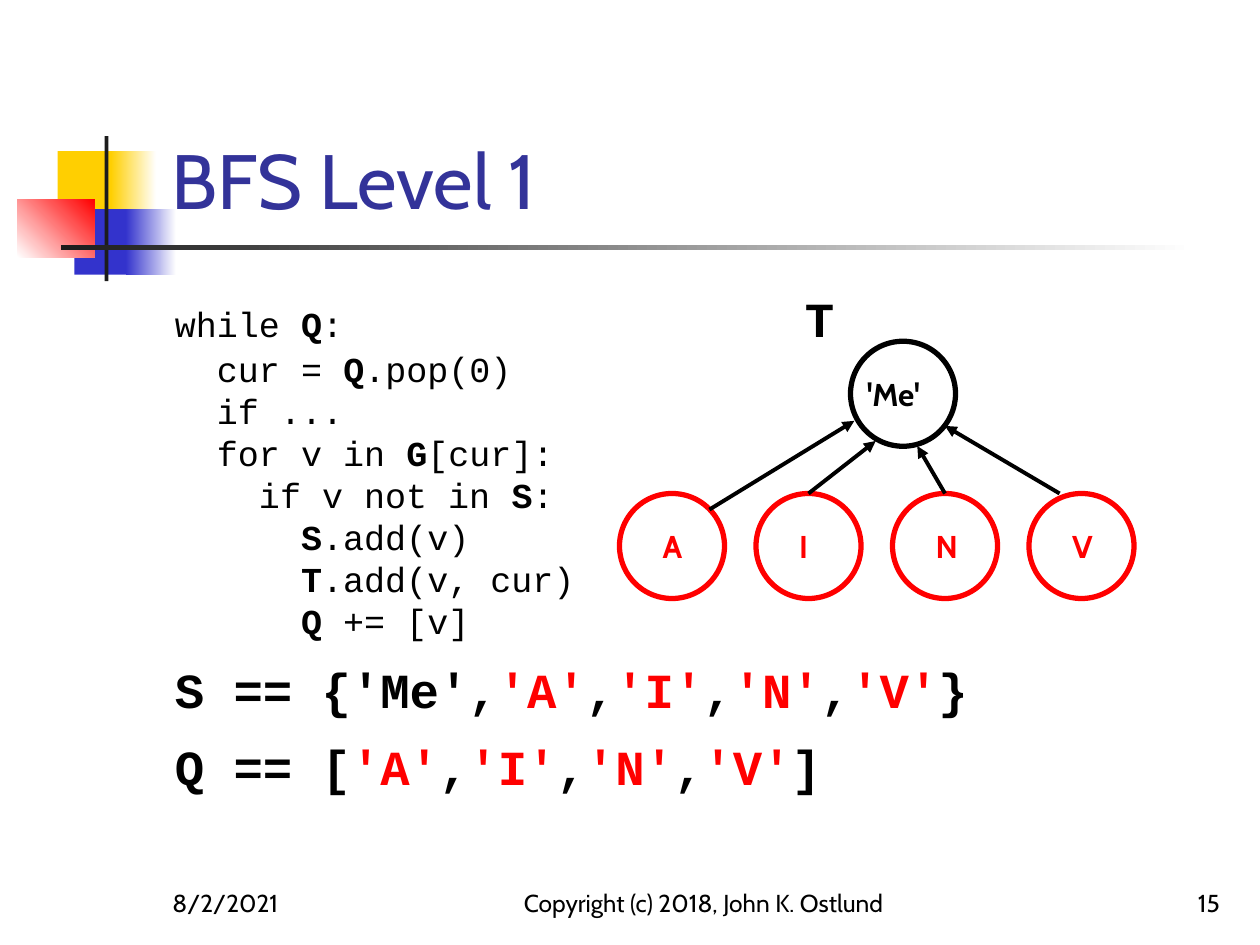
"""Build the BFS Level 1 slide: search code, tree T and the state of S and Q."""
from dataclasses import dataclass
from typing import Any, Optional

import pptx
import pptx.dml.color
import pptx.enum.shapes
import pptx.enum.text
import pptx.oxml.ns
import pptx.util
from lxml import etree

Pt = pptx.util.Pt
SHAPE = pptx.enum.shapes.MSO_SHAPE
ALIGN = pptx.enum.text.PP_ALIGN
ANCHOR = pptx.enum.text.MSO_ANCHOR
COLORS = {
    "black": "000000", "white": "FFFFFF", "red": "FF0000", "yellow": "FFCF01",
    "blue": "3333CC", "title": "333399", "charcoal": "1C1C1C",
}
HEADING_FONT = "Cabin"
CODE_FONT = "Courier New"
NODE_SIZE = 60


@dataclass(frozen=True)
class Box:
    left: float
    top: float
    width: float
    height: float

    def points(self) -> tuple:
        return Pt(self.left), Pt(self.top), Pt(self.width), Pt(self.height)


@dataclass(frozen=True)
class Block:
    box: Box
    color: str
    fade_to: Optional[str] = None
    angle: float = 0


@dataclass(frozen=True)
class Caption:
    box: Box
    text: str
    size: float
    color: str = "black"
    align: Any = ALIGN.LEFT


@dataclass(frozen=True)
class CodeLine:
    """A line whose parts between asterisks are emphasised."""
    text: str
    size: float = 20
    pitch: float = 24
    before: float = 0
    bold: bool = False
    accent: str = "black"


@dataclass(frozen=True)
class Node:
    label: str
    left: float
    top: float
    color: str
    label_box: Box


@dataclass(frozen=True)
class Edge:
    parent: tuple
    child: tuple


BLOCKS = [
    Block(Box(33, 86.4, 34.6, 37.4), "yellow"),
    Block(Box(63.4, 86.4, 25.9, 37.4), "yellow", "white"),
    Block(Box(42.5, 119.5, 33.1, 37.4), "blue"),
    Block(Box(72, 119.5, 28.8, 37.4), "blue", "white"),
    Block(Box(10, 113.8, 44, 33.1), "white", "red", 45),
    Block(Box(59.8, 77.8, 2.2, 82.8), "charcoal"),
    Block(Box(34.6, 140.2, 648, 2.4), "charcoal", "white"),
]
CAPTIONS = [
    Caption(Box(90.7, 16.6, 613.4, 115.2), "BFS Level 1", 44, "title"),
    Caption(Box(91.4, 491.8, 149.8, 36), "8/2/2021", 14),
    Caption(Box(288, 491.8, 228.2, 36), "Copyright (c) 2018, John K. Ostlund", 14,
            align=ALIGN.CENTER),
    Caption(Box(554.4, 491.8, 149.8, 36), "15", 14, align=ALIGN.RIGHT),
]
CODE = [
    CodeLine("while *Q*:\t*T*", pitch=36),
    CodeLine("  cur = *Q*.pop(0)"),
    CodeLine("  if ..."),
    CodeLine("  for v in *G*[cur]:"),
    CodeLine("    if v not in *S*:"),
    CodeLine("      *S*.add(v)"),
    CodeLine("      *T*.add(v, cur)"),
    CodeLine("      *Q* += [v]"),
    CodeLine("S == {'Me',*'A'*,*'I'*,*'N'*,*'V'*}", 28, 32, 12, True, "red"),
    CodeLine("Q == [*'A'*,*'I'*,*'N'*,*'V'*]", 28, 32, 12, True, "red"),
]
NODES = [Node("'Me'", 486, 195, "black", Box(488.2, 211, 52.6, 28.8))] + [
    Node(name, 354 + 78 * i, 282, "red", Box(371.5 + 78 * i, 297.4, 27.4, 28.8))
    for i, name in enumerate("AINV")
]
EDGES = [
    Edge((488.2, 240.5), (405.4, 291.2)),
    Edge((500.4, 252), (462, 282)),
    Edge((524.2, 254.9), (540, 282)),
    Edge((540, 243.4), (605.5, 282)),
]


def rgb(color: str) -> pptx.dml.color.RGBColor:
    return pptx.dml.color.RGBColor.from_string(COLORS[color])


def style(font: Any, name: str, size: float, color: str, bold: bool = False) -> None:
    font.name, font.size, font.bold = name, Pt(size), bold
    font.color.rgb = rgb(color)


def draw_block(shapes: Any, block: Block) -> None:
    bar = shapes.add_shape(SHAPE.RECTANGLE, *block.box.points())
    bar.shadow.inherit = False
    bar.line.fill.background()
    if block.fade_to is None:
        bar.fill.solid()
        bar.fill.fore_color.rgb = rgb(block.color)
        return
    bar.fill.gradient()
    bar.fill.gradient_angle = block.angle
    for stop, color in zip(bar.fill.gradient_stops, (block.color, block.fade_to)):
        stop.color.rgb = rgb(color)


def draw_caption(shapes: Any, caption: Caption) -> None:
    frame = shapes.add_textbox(*caption.box.points()).text_frame
    frame.word_wrap = True
    frame.vertical_anchor = ANCHOR.BOTTOM
    frame.text = caption.text
    frame.paragraphs[0].alignment = caption.align
    style(frame.paragraphs[0].runs[0].font, HEADING_FONT, caption.size, caption.color)


def draw_code(shapes: Any, box: Box, lines: list) -> None:
    frame = shapes.add_textbox(*box.points()).text_frame
    frame.word_wrap = True
    for i, line in enumerate(lines):
        paragraph = frame.add_paragraph() if i else frame.paragraphs[0]
        paragraph.line_spacing = Pt(line.pitch)
        paragraph.space_before = Pt(line.before)
        for j, part in enumerate(line.text.split("*")):
            run = paragraph.add_run()
            run.text = part
            emphasised = j % 2 == 1
            style(run.font, CODE_FONT, line.size,
                  line.accent if emphasised else "black", line.bold or emphasised)
    heading = frame.paragraphs[0]
    heading.runs[-2].font.size = heading.runs[-1].font.size = Pt(20)
    qn = pptx.oxml.ns.qn
    tabs = etree.SubElement(heading.runs[0].font._element.getparent().getparent().pPr, qn("a:tabLst"))
    etree.SubElement(tabs, qn("a:tab"), pos=str(Pt(360)), algn="l")
    heading.runs[-2].font.size = Pt(20)
    heading.runs[3].font.size = Pt(28)


def draw_node(shapes: Any, node: Node) -> None:
    group = shapes.add_group_shape().shapes
    circle = group.add_shape(SHAPE.OVAL, *Box(node.left, node.top, NODE_SIZE, NODE_SIZE).points())
    circle.shadow.inherit = False
    circle.fill.background()
    circle.line.color.rgb = rgb(node.color)
    circle.line.width = Pt(3)
    frame = group.add_textbox(*node.label_box.points()).text_frame
    frame.word_wrap = False
    frame.auto_size = pptx.enum.text.MSO_AUTO_SIZE.SHAPE_TO_FIT_TEXT
    frame.text = node.label
    style(frame.paragraphs[0].runs[0].font, HEADING_FONT, 18, node.color, True)


def draw_edge(shapes: Any, edge: Edge) -> None:
    ends = [Pt(value) for value in edge.parent + edge.child]
    arrow = shapes.add_connector(pptx.enum.shapes.MSO_CONNECTOR.STRAIGHT, *ends)
    arrow.line.color.rgb = rgb("black")
    arrow.line.width = Pt(2.25)
    qn = pptx.oxml.ns.qn
    etree.SubElement(arrow.line._get_or_add_ln(), qn("a:headEnd"), type="triangle")
    etree.SubElement(arrow._element.spPr, qn("a:effectLst"))


def main() -> None:
    deck = pptx.Presentation()
    deck.slide_width, deck.slide_height = Pt(720), Pt(540)
    shapes = deck.slides.add_slide(deck.slide_layouts[6]).shapes
    for block in BLOCKS:
        draw_block(shapes, block)
    draw_code(shapes, Box(92.9, 159.1, 612, 324), CODE)
    for caption in CAPTIONS:
        draw_caption(shapes, caption)
    for node in NODES:
        draw_node(shapes, node)
    for edge in EDGES:
        draw_edge(shapes, edge)
    deck.save("out.pptx")


if __name__ == "__main__":
    main()
